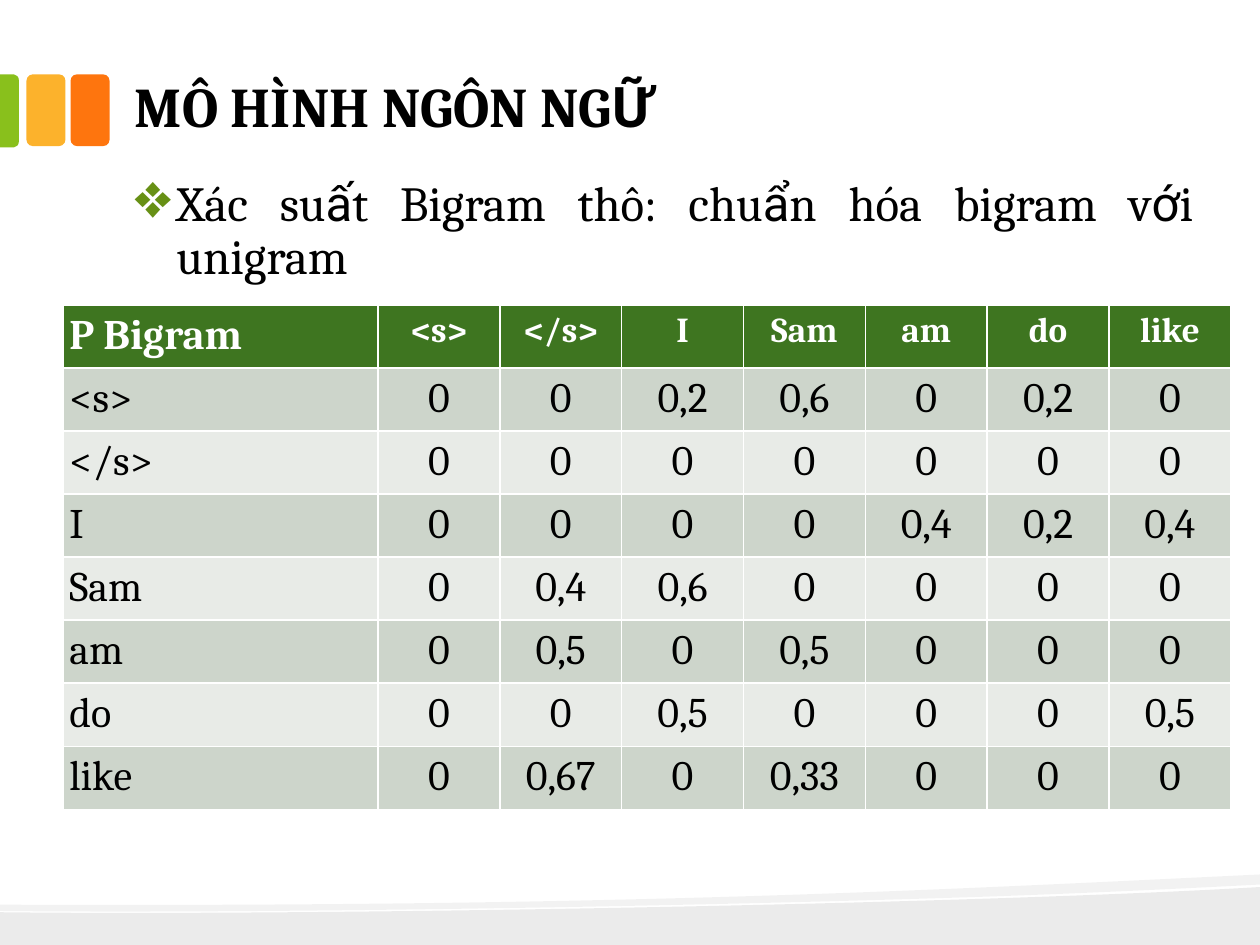
from itertools import groupby

from lxml.etree import SubElement as Sub
from pptx import Presentation
from pptx.dml.color import RGBColor
from pptx.enum.shapes import MSO_SHAPE as Shape
from pptx.enum.text import MSO_ANCHOR as Anchor, PP_ALIGN as Align
from pptx.oxml.ns import qn
from pptx.util import Inches, Pt

BLACK, WHITE = "000000", "FFFFFF"
HEAD, BANDS = "3E7520", ("E8EBE7", "CDD5CB")
WORDS = ["<s>", "</s>", "I", "Sam", "am", "do", "like"]
PROBS = [
    "0 0 0,2 0,6 0 0,2 0",
    "0 0 0 0 0 0 0",
    "0 0 0 0 0,4 0,2 0,4",
    "0 0,4 0,6 0 0 0 0",
    "0 0,5 0 0,5 0 0 0",
    "0 0 0,5 0 0 0 0,5",
    "0 0,67 0 0,33 0 0 0",
]
WAVE = [[(10, 7.04)], [(10, 7.51)], [(0, 7.51)], [(0, 7.24)],
        [(2.64, 7.27), (7.82, 7.17), (10, 7.04)]]
CREST = [[(10, 6.94)], [(10, 7.02)],
         [(9.42, 7.05), (8.62, 7.09), (7.72, 7.12)],
         [(5.23, 7.2), (1.93, 7.25), (0, 7.23)], [(0, 7.18)],
         [(4.89, 7.2), (7.28, 7.07), (10, 6.94)]]
TAB = [[(0, 0.59)], [(0.11, 0.59)],
       [(0.13, 0.59), (0.15, 0.61), (0.15, 0.64)], [(0.15, 1.12)],
       [(0.15, 1.15), (0.13, 1.17), (0.11, 1.17)], [(0, 1.17)]]


def color(code):
    """Turn a hex string into a colour."""
    return RGBColor.from_string(code)


def paint(shape, code, alpha=None):
    """Fill a shape flat, with optional opacity in percent."""
    shape.shadow.inherit = False
    shape.line.fill.background()
    shape.fill.solid()
    shape.fill.fore_color.rgb = color(code)
    if alpha:
        tone = shape.element.spPr.find(qn("a:solidFill"))[0]
        Sub(tone, qn("a:alpha"), val=str(alpha * 1000))


def trace(slide, route, code, alpha=None):
    """Draw an outline where a step of three points is a cubic curve."""
    dots = [(Inches(x), Inches(y)) for step in route for x, y in step]
    pen = slide.shapes.build_freeform(*dots[0])
    pen.add_line_segments(dots[1:], close=True)
    shape = pen.convert_to_shape()
    lines = shape.element.iter(qn("a:lnTo"))
    lines = iter(list(lines))
    for step in route[1:]:
        parts = [next(lines) for _ in step]
        if len(parts) == 3:
            curve = parts[0].makeelement(qn("a:cubicBezTo"))
            parts[0].addprevious(curve)
            for part in parts:
                curve.append(part[0])
                part.getparent().remove(part)
    paint(shape, code, alpha)


def block(slide, left, code):
    """Draw one rounded block beside the title."""
    shape = slide.shapes.add_shape(Shape.ROUNDED_RECTANGLE, Inches(left), Inches(0.59),
                                   Inches(0.31), Inches(0.57))
    shape.adjustments[0] = 0.167
    paint(shape, code)


def write(para, text, size=24, code=BLACK, bold=False, align=Align.LEFT):
    """Write text, with Roboto for the stacked Vietnamese letters."""
    para.alignment = align
    for rare, chars in groupby(text, lambda char: char in "Ữấẩớ"):
        run = para.add_run()
        run.text = "".join(chars)
        font = run.font
        font.name = "Roboto" if rare else "Cambria"
        font.size, font.bold = Pt(size), bold
        font.color.rgb = color(code)


def textbox(slide, left, top, width, height, anchor=Anchor.TOP):
    """Add a wrapped text box and return its first paragraph."""
    box = slide.shapes.add_textbox(*map(Inches, (left, top, width, height)))
    frame = box.text_frame
    frame.word_wrap, frame.vertical_anchor = True, anchor
    frame.margin_left = frame.margin_right = Inches(0.07)
    frame.margin_top = frame.margin_bottom = Inches(0.07)
    return frame.paragraphs[0]


def bullet(para, char, code, indent, scale):
    """Give a paragraph a coloured, scaled bullet and hanging indent."""
    props = para._p.get_or_add_pPr()
    props.set("marL", str(Inches(indent)))
    props.set("indent", str(-Inches(indent)))
    Sub(Sub(props, qn("a:buClr")), qn("a:srgbClr"), val=code)
    Sub(props, qn("a:buSzPct"), val=str(scale * 1000))
    Sub(props, qn("a:buChar"), char=char)


def grid(slide):
    """Build the bigram probability table."""
    rows = [["P Bigram"] + WORDS]
    rows += [[word] + line.split() for word, line in zip(WORDS, PROBS)]
    table = slide.shapes.add_table(len(rows), len(rows[0]), Inches(0.5), Inches(2.42),
                                   Inches(9.27), Inches(3.24)).table
    for c, col in enumerate(table.columns):
        col.width = Inches(6.77 / len(WORDS) if c else 2.5)
    for r, row in enumerate(rows):
        table.rows[r].height = Inches(0.41)
        for c, text in enumerate(row):
            cell = table.cell(r, c)
            cell.margin_left = cell.margin_right = Inches(0.05)
            cell.margin_top = cell.margin_bottom = Inches(0.05)
            cell.fill.solid()
            cell.fill.fore_color.rgb = color(BANDS[r % 2] if r else HEAD)
            write(cell.text_frame.paragraphs[0], text, size=20 if c and not r else 24,
                  code=BLACK if r else WHITE, bold=not r,
                  align=Align.CENTER if c else Align.LEFT)


def main():
    """Build and save the slide."""
    deck = Presentation()
    deck.slide_width, deck.slide_height = Inches(10), Inches(7.5)
    slide = deck.slides.add_slide(deck.slide_layouts[6])
    trace(slide, WAVE, BLACK, alpha=8)
    trace(slide, CREST, BLACK, alpha=5)
    block(slide, 0.56, "FE750E")
    block(slide, 0.21, "FCB22C")
    trace(slide, TAB, "89C01C")
    title = textbox(slide, 1, 0.17, 8.58, 1, Anchor.BOTTOM)
    write(title, "MÔ HÌNH NGÔN NGỮ", size=32, bold=True)
    body = textbox(slide, 1, 1.35, 8.54, 5.74)
    body.line_spacing, body.space_before = 0.9, Pt(18)
    bullet(body, "❖", "679015", 0.33, 130)
    write(body, "Xác suất Bigram thô: chuẩn hóa bigram với unigram", size=28,
          align=Align.JUSTIFY)
    grid(slide)
    deck.save("out.pptx")


if __name__ == "__main__":
    main()
